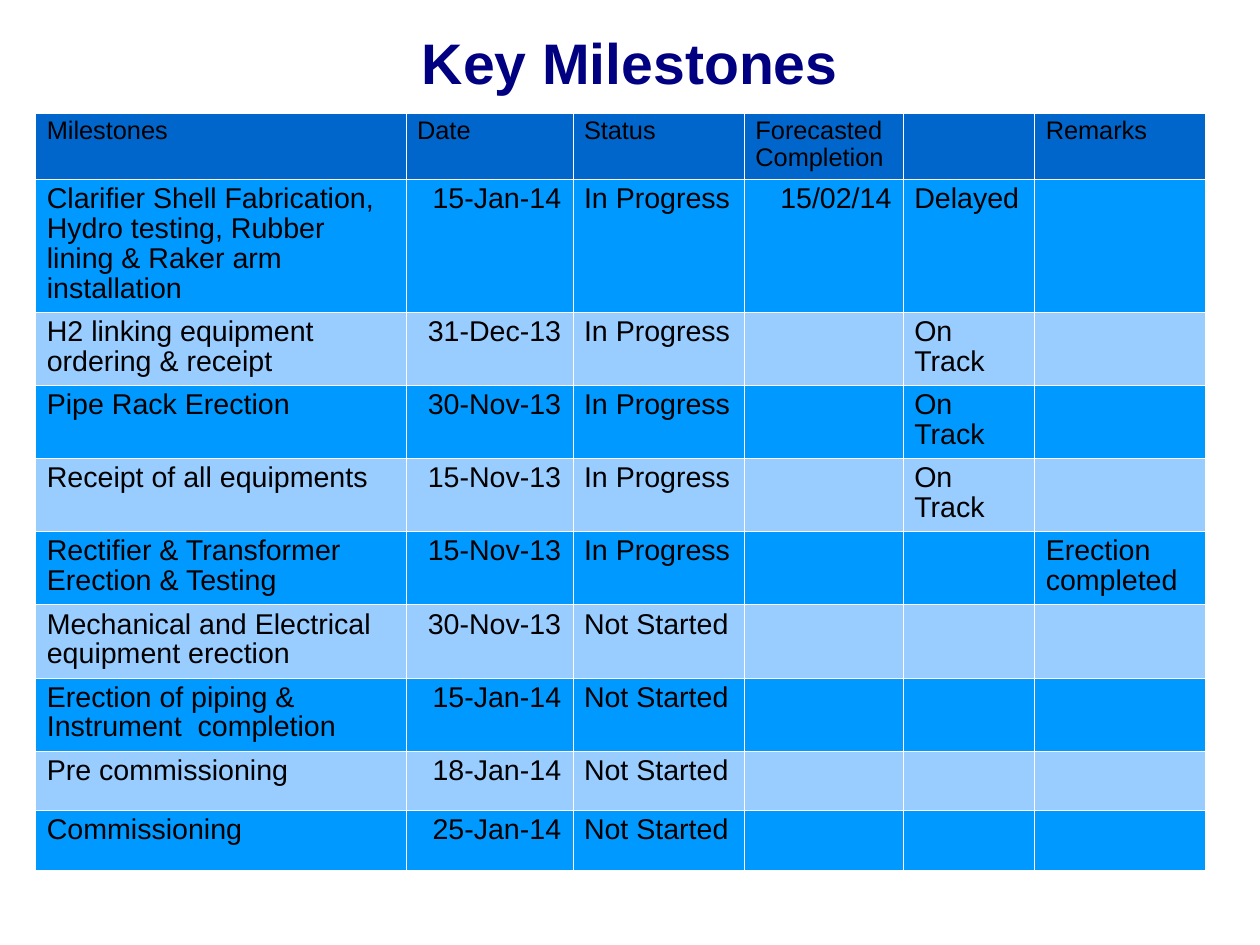
from lxml import etree
from pptx import Presentation
from pptx.dml.color import RGBColor
from pptx.enum import text
from pptx.oxml import ns
from pptx.util import Inches, Pt

NAVY = RGBColor(0x00, 0x00, 0x80)
BLACK = RGBColor(0x00, 0x00, 0x00)
HEADER_BLUE = RGBColor(0x00, 0x66, 0xCC)
BRIGHT_BLUE = RGBColor(0x00, 0x99, 0xFF)
PALE_BLUE = RGBColor(0x99, 0xCC, 0xFF)
WHITE = RGBColor(0xFF, 0xFF, 0xFF)

CM_PER_INCH = 2.54
COLUMN_WIDTHS = [3.24, 1.46, 1.5, 1.39, 1.15, 1.49]
ROW_HEIGHTS = [0.58, 1.16] + [0.64] * 6 + [0.52] * 2
MILESTONES = [
    ["Milestones", "Date", "Status", "Forecasted Completion", "", "Remarks"],
    ["Clarifier Shell Fabrication, Hydro testing, Rubber lining & Raker arm installation",
     "15-Jan-14", "In Progress", "15/02/14", "Delayed", ""],
    ["H2 linking equipment ordering & receipt", "31-Dec-13", "In Progress", "", "On Track", ""],
    ["Pipe Rack Erection", "30-Nov-13", "In Progress", "", "On Track", ""],
    ["Receipt of all equipments", "15-Nov-13", "In Progress", "", "On Track", ""],
    ["Rectifier & Transformer Erection & Testing", "15-Nov-13", "In Progress", "", "",
     "Erection completed"],
    ["Mechanical and Electrical equipment erection", "30-Nov-13", "Not Started", "", "", ""],
    ["Erection of piping & Instrument  completion", "15-Jan-14", "Not Started", "", "", ""],
    ["Pre commissioning", "18-Jan-14", "Not Started", "", "", ""],
    ["Commissioning", "25-Jan-14", "Not Started", "", "", ""],
]
DATE_COLUMNS = (1, 3)


def write(para, words, align, **font_format):
    para.alignment = align
    para.line_spacing = 0.93
    span = para.add_run()
    span.text = words
    span.font.name = "Arial"
    span.font.color.rgb = font_format.pop("color")
    for name, value in font_format.items():
        setattr(span.font, name, value)


def add_borders(cell):
    properties = cell._tc.get_or_add_tcPr()
    for side in ("a:lnL", "a:lnR", "a:lnT", "a:lnB"):
        line = etree.SubElement(properties, ns.qn(side), w=str(Pt(0.06)))
        fill = etree.SubElement(line, ns.qn("a:solidFill"))
        etree.SubElement(fill, ns.qn("a:srgbClr"), val=str(WHITE))


# Page of 28 by 21 cm
deck = Presentation()
deck.slide_width = Inches(28 / CM_PER_INCH)
deck.slide_height = Inches(21 / CM_PER_INCH)
page = deck.slides.add_slide(deck.slide_layouts[5])

# Title
title = page.shapes.title
title.left, title.top = Inches(0.55), Inches(0.12)
title.width, title.height = Inches(9.92), Inches(0.91)
frame_format = {
    "margin_left": 0, "margin_top": 0, "margin_right": 0, "margin_bottom": 0,
    "word_wrap": True, "auto_size": text.MSO_AUTO_SIZE.NONE,
    "vertical_anchor": text.MSO_ANCHOR.MIDDLE,
}
for name, value in frame_format.items():
    setattr(title.text_frame, name, value)
write(title.text_frame.paragraphs[0], "Key Milestones", text.PP_ALIGN.CENTER,
      size=Pt(36), bold=True, color=NAVY)

# Milestone table
table_frame = page.shapes.add_table(
    len(ROW_HEIGHTS), len(COLUMN_WIDTHS), Inches(0.31), Inches(0.99),
    Inches(sum(COLUMN_WIDTHS)), Inches(sum(ROW_HEIGHTS)))
table = table_frame.table
table.first_row = table.horz_banding = False
for column, width in zip(table.columns, COLUMN_WIDTHS):
    column.width = Inches(width)
for row, height in zip(table.rows, ROW_HEIGHTS):
    row.height = Inches(height)
table_frame.height = Inches(6.79)

# Header row, then alternating bright and pale rows
for r, entries in enumerate(MILESTONES):
    is_header = r == 0
    row_color = HEADER_BLUE if is_header else (PALE_BLUE, BRIGHT_BLUE)[r % 2]
    for c, words in enumerate(entries):
        cell = table.cell(r, c)
        add_borders(cell)
        cell.fill.solid()
        cell.fill.fore_color.rgb = row_color
        if words:
            is_date = c in DATE_COLUMNS and not is_header
            write(cell.text_frame.paragraphs[0], words,
                  text.PP_ALIGN.RIGHT if is_date else text.PP_ALIGN.LEFT,
                  size=Pt(16 if is_header else 18), color=BLACK)

deck.save("out.pptx")
